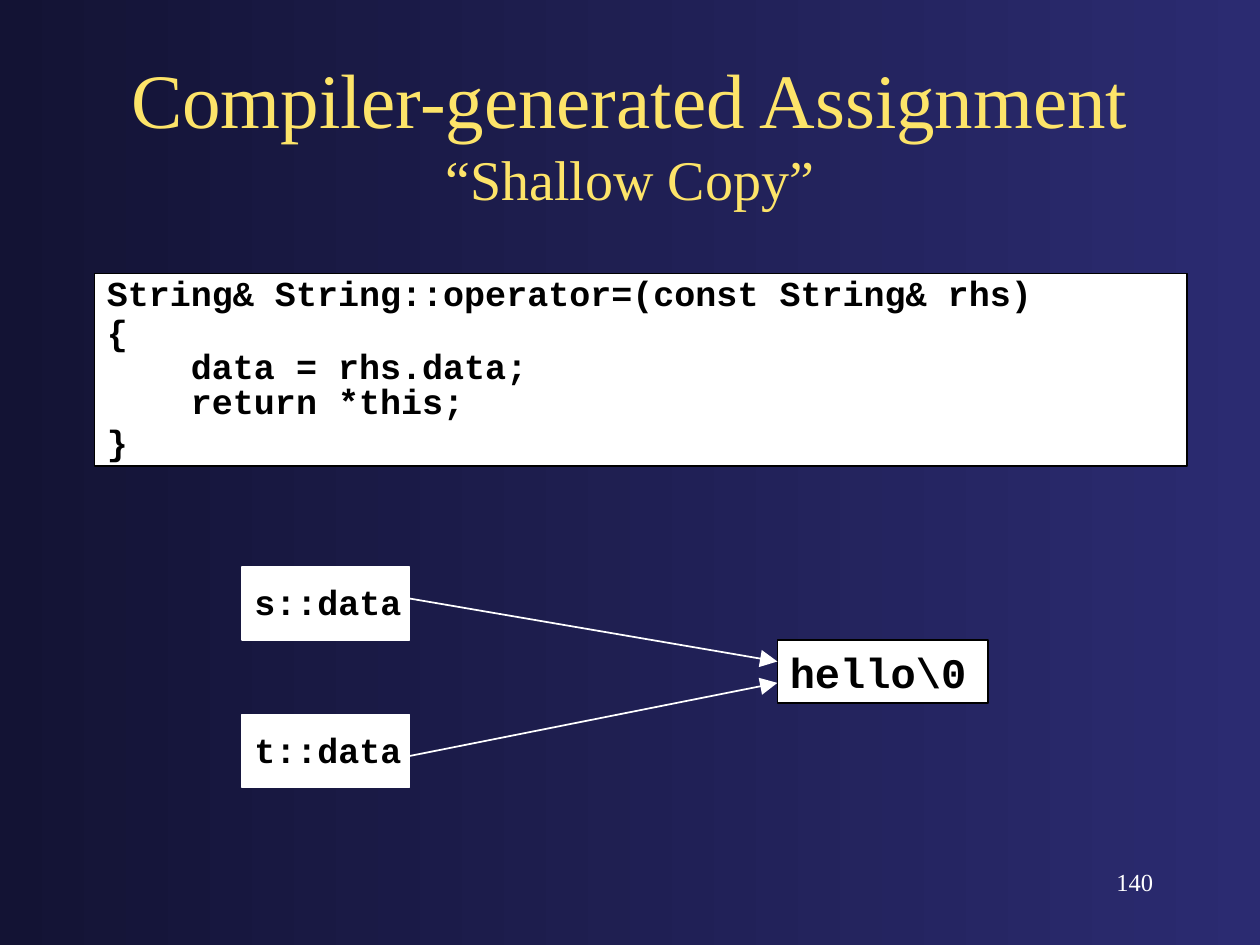
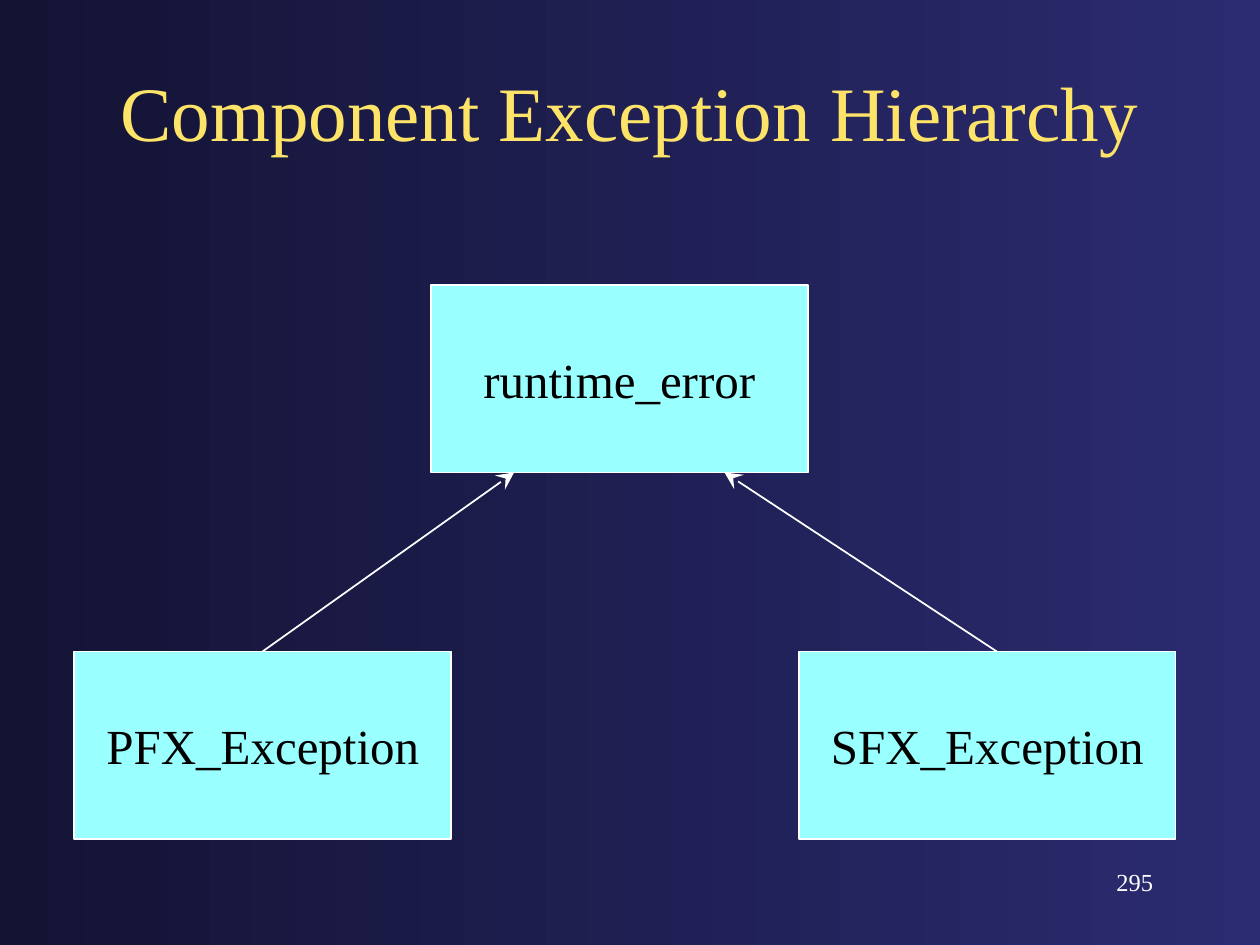
from pptx import Presentation
from pptx.dml.color import RGBColor
from pptx.enum.shapes import MSO_CONNECTOR, MSO_SHAPE
from pptx.enum.text import MSO_ANCHOR, MSO_AUTO_SIZE, PP_ALIGN
from pptx.oxml.ns import qn
from pptx.util import Inches, Pt
from lxml.etree import SubElement

# Shared style
SERIF, MONO = "Times New Roman", "Courier New"
YELLOW, WHITE, BLACK, CYAN = "FDE469", "FFFFFF", "000000", "99FFFF"
NAVY, MIDNIGHT = "2B2B71", "131334"


def rgb(value):
    return RGBColor.from_string(value)


def set_font(item, size, name=SERIF, color=BLACK, bold=False):
    f = item.font
    f.size, f.name, f.bold = Pt(size), name, bold
    f.color.rgb = rgb(color)


def set_background(master):
    fill = master.background.fill
    fill.gradient()
    fill.gradient_angle = 180
    for stop, color in zip(fill.gradient_stops, (NAVY, MIDNIGHT)):
        stop.color.rgb = rgb(color)


def add_box(s, x, y, w, h, fill, line):
    sp = s.shapes.add_shape(MSO_SHAPE.RECTANGLE, Inches(x), Inches(y), Inches(w), Inches(h))
    sp.shadow.inherit = False
    sp.fill.solid()
    sp.fill.fore_color.rgb = rgb(fill)
    sp.line.color.rgb = rgb(line)
    sp.line.width = Pt(1)
    return sp


def add_arrow(s, start, end, head):
    c = s.shapes.add_connector(MSO_CONNECTOR.STRAIGHT, *map(Inches, start + end))
    c.line.color.rgb = rgb(WHITE)
    c.line.width = Pt(1)
    SubElement(c.line._get_or_add_ln(), qn("a:tailEnd"), type=head, w="lg", len="lg")
    SubElement(c._element.spPr, qn("a:effectLst"))
    return c


def add_slide(prs, title, title_top, number, subtitle=None):
    s = prs.slides.add_slide(prs.slide_layouts[5])
    # Title
    sp = s.shapes.title
    sp.left, sp.top, sp.width, sp.height = map(Inches, (0.75, title_top, 8.5, 1.25))
    tf = sp.text_frame
    tf.auto_size = MSO_AUTO_SIZE.NONE
    tf.vertical_anchor = MSO_ANCHOR.MIDDLE
    p = tf.paragraphs[0]
    p.alignment = PP_ALIGN.CENTER
    r = p.add_run()
    r.text = title
    set_font(r, 44, color=YELLOW)
    if subtitle:
        p.add_line_break()
        r = p.add_run()
        r.text = subtitle
        set_font(r, 32, color=YELLOW)
    # Page number
    tf = s.shapes.add_textbox(Inches(7.17), Inches(6.83), Inches(2.08), Inches(0.5)).text_frame
    tf.word_wrap = True
    p = tf.paragraphs[0]
    p.text = str(number)
    p.alignment = PP_ALIGN.RIGHT
    set_font(p, 14, color=WHITE)
    return s


def code_panel(s, x, y, w, h, lines):
    """lines holds pairs of code and line spacing."""
    tf = add_box(s, x, y, w, h, WHITE, BLACK).text_frame
    tf.word_wrap = True
    tf.vertical_anchor = MSO_ANCHOR.TOP
    tf.margin_top, tf.margin_bottom = Inches(0.05), 0
    for i, (code, spacing) in enumerate(lines):
        p = tf.add_paragraph() if i else tf.paragraphs[0]
        p.text = code
        p.alignment = PP_ALIGN.LEFT
        p.line_spacing = spacing
        p.space_before = Pt(12.5 if i else 0)
        set_font(p, 20, MONO, bold=True)


def memory_cell(s, x, y, w, h, label, size, line, margin_top):
    tf = add_box(s, x, y, w, h, WHITE, line).text_frame
    tf.word_wrap = False
    tf.vertical_anchor = MSO_ANCHOR.TOP
    tf.margin_top = Inches(margin_top)
    tf.margin_right = tf.margin_bottom = 0
    p = tf.paragraphs[0]
    p.text = label
    p.alignment = PP_ALIGN.LEFT
    set_font(p, size, MONO, bold=True)


def pointer_diagram(s, x, y):
    w, h, pitch = 1.33, 0.58, 1.17
    target_x = x + 4.25
    memory_cell(s, target_x, y + 0.58, 1.67, 0.5, "hello\\0", 24, BLACK, 0.05)
    for i, name in enumerate(("s::data", "t::data")):
        memory_cell(s, x, y + i * pitch, w, h, name, 20, WHITE, 0.11)
    for start_y, end_y in ((0.25, 0.75), (1.5, 0.92)):
        add_arrow(s, (x + w, y + start_y), (target_x, y + end_y), "triangle")


def class_box(s, x, y, w, h, name):
    sp = add_box(s, x, y, w, h, CYAN, WHITE)
    tf = sp.text_frame
    tf.word_wrap = False
    tf.vertical_anchor = MSO_ANCHOR.MIDDLE
    p = tf.paragraphs[0]
    p.text = name
    p.alignment = PP_ALIGN.CENTER
    set_font(p, 28)
    return sp


def class_hierarchy(s, x, y):
    w, h, child_y = 2.99, 1.49, y + 2.91
    class_box(s, x + 2.83, y, w, h, "runtime_error")
    prefix = class_box(s, x, child_y, w, h, "PFX_Exception")
    class_box(s, x + 5.75, child_y, w, h, "SFX_Exception")
    left = add_arrow(s, (x + w / 2, child_y), (x + 3.49, y + h), "stealth")
    left.begin_connect(prefix, 0)
    add_arrow(s, (x + 7.32, child_y), (x + 5.16, y + h), "stealth")


def main():
    prs = Presentation()
    prs.slide_width, prs.slide_height = Inches(10), Inches(7.5)
    set_background(prs.slide_master)

    # Shallow copy
    s = add_slide(prs, "Compiler-generated Assignment", 0.42, 140, "“Shallow Copy”")
    code_panel(s, 0.75, 2.17, 8.67, 1.53, [
        ("String& String::operator=(const String& rhs)", 0.8),
        ("{", 0.3),
        ("    data = rhs.data;", 0.3),
        ("    return *this;", 0.3),
        ("}", 0.5),
    ])
    pointer_diagram(s, 1.92, 4.5)

    # Exception classes
    s = add_slide(prs, "Component Exception Hierarchy", 0.25, 295)
    class_hierarchy(s, 0.59, 2.26)

    prs.save("out.pptx")


if __name__ == "__main__":
    main()
